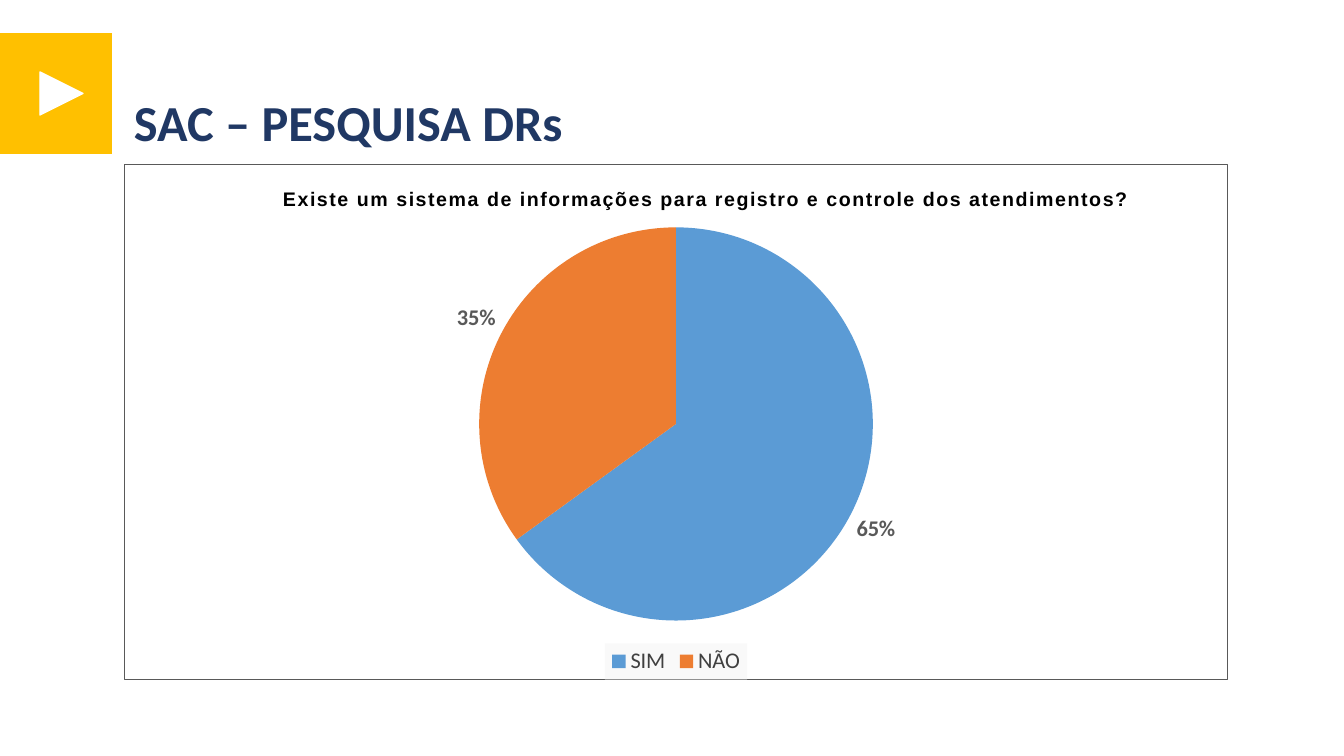
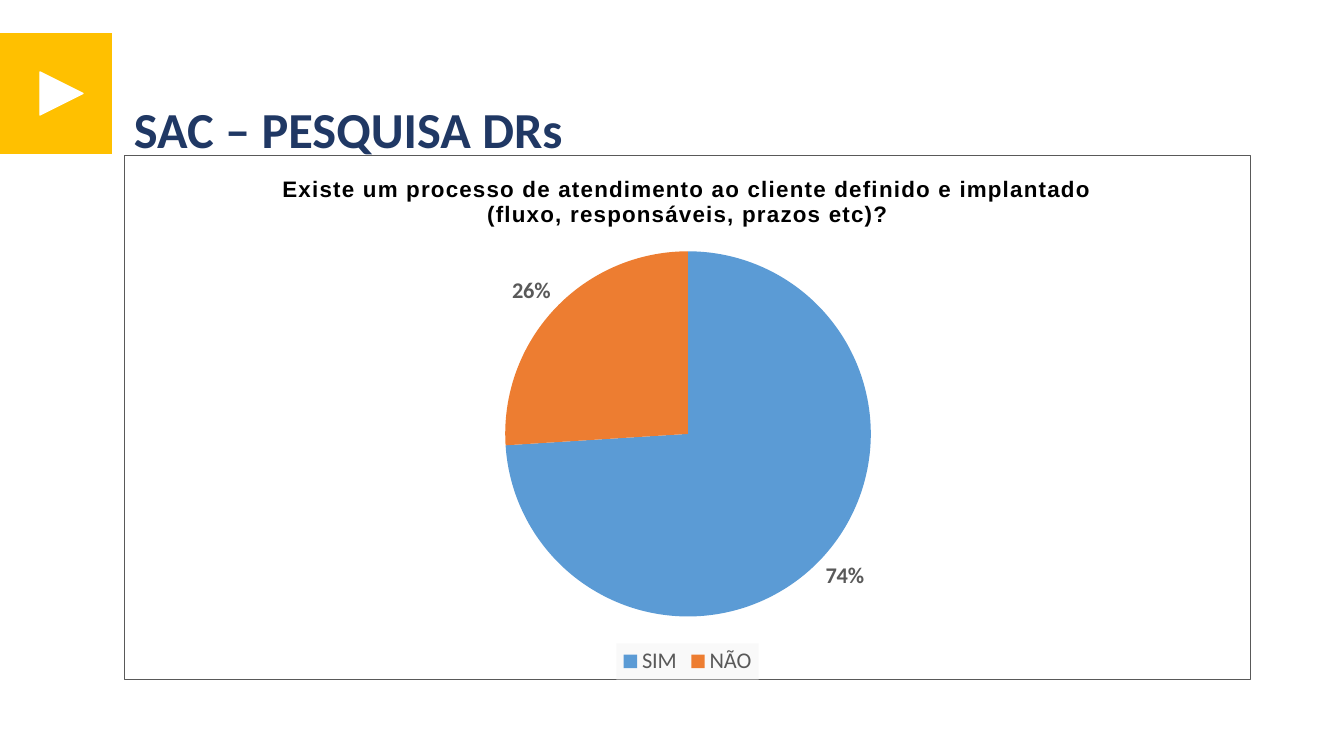
import lxml.etree
import pptx
import pptx.chart.data
import pptx.dml.color
import pptx.enum.chart
import pptx.enum.shapes
import pptx.enum.text
import pptx.oxml.ns
import pptx.util

RGBColor = pptx.dml.color.RGBColor
AMBER = RGBColor(0xFF, 0xC0, 0x00)
WHITE = RGBColor(0xFF, 0xFF, 0xFF)
BLACK = RGBColor(0x00, 0x00, 0x00)
NAVY = RGBColor(0x20, 0x38, 0x64)
GREY = RGBColor(0x59, 0x59, 0x59)
DARK_GREY = RGBColor(0x40, 0x40, 0x40)
PALE_GREY = RGBColor(0xF9, 0xF9, 0xF9)
BLUE = RGBColor(0x5B, 0x9B, 0xD5)
ORANGE = RGBColor(0xED, 0x7D, 0x31)

EMU_PER_PX = 914400 / 100.8
BODY_FACE = "Calibri"
QUESTION_FACE = "Arial"
PAGE_TITLE = "SAC – PESQUISA DRs"
ANSWERS = {"SIM": BLUE, "NÃO": ORANGE}

SURVEYS = [
    {
        "question": "Existe um sistema de informações para registro e controle dos atendimentos?",
        "shares": (65, 35),
        "title_top": 93,
        "frame": (124, 164, 1104, 516),
        "pie": (479, 227, 394),
        "question_size": 14,
        "question_at": (279, 182),
        "legend_color": DARK_GREY,
    },
    {
        "question": "Existe um processo de atendimento ao cliente definido e implantado "
                    "(fluxo, responsáveis, prazos etc)?",
        "shares": (74, 26),
        "title_top": 100,
        "frame": (124, 155, 1127, 525),
        "pie": (505, 251, 366),
        "question_size": 16,
        "question_at": None,
        "legend_color": GREY,
    },
]


def px(*lengths):
    """Turn pixel lengths into EMU."""
    return [pptx.util.Emu(round(length * EMU_PER_PX)) for length in lengths]


def set_font(font, size, color, bold=False, face=BODY_FACE):
    """Set the look of a font."""
    font.size = pptx.util.Pt(size)
    font.name = face
    font.bold = bold
    font.color.rgb = color


def write_text(para, text, *, size, color, bold=True, face=BODY_FACE, line_spacing=None, tracking=0):
    """Add a formatted run of text to a paragraph."""
    if line_spacing:
        para.line_spacing = line_spacing
    span = para.add_run()
    span.text = text
    set_font(span.font, size, color, bold, face)
    if tracking:
        span._r.get_or_add_rPr().set("spc", str(tracking))


def add_block(page, preset, bounds, color, rotation=0, outline=False):
    """Add a plain filled shape."""
    block = page.shapes.add_shape(preset, *px(*bounds))
    block.shadow.inherit = False
    block.rotation = rotation
    block.fill.solid()
    block.fill.fore_color.rgb = color
    if outline:
        block.line.color.rgb = color
        block.line.width = pptx.util.Pt(1)
    else:
        block.line.fill.background()


def add_heading(page, top):
    """Add the corner mark and the page title."""
    presets = pptx.enum.shapes.MSO_SHAPE
    add_block(page, presets.RECTANGLE, (0, 33, 112, 121), AMBER)
    add_block(page, presets.ISOSCELES_TRIANGLE, (40, 72, 43, 43), WHITE, rotation=90, outline=True)
    box = page.shapes.add_textbox(*px(124, top, 948, 54))
    box.text_frame.word_wrap = True
    box.text_frame.vertical_anchor = pptx.enum.text.MSO_ANCHOR.TOP
    write_text(box.text_frame.paragraphs[0], PAGE_TITLE, size=36, color=NAVY, line_spacing=0.9)


def add_child(parent, tag, index=None, **attributes):
    """Add an XML child at an index, or at the end."""
    child = lxml.etree.Element(pptx.oxml.ns.qn(tag), attributes)
    parent.insert(len(parent) if index is None else index, child)
    return child


def place_part(part, index, fractions, target=None):
    """Give a chart part a manual layout in fractions of the chart."""
    layout = part.find(pptx.oxml.ns.qn("c:layout"))
    if layout is None:
        layout = add_child(part, "c:layout", index)
    manual = add_child(layout, "c:manualLayout")
    if target:
        add_child(manual, "c:layoutTarget", val=target)
    for mode in ("xMode", "yMode"):
        add_child(manual, "c:" + mode, val="edge")
    for name, fraction in zip("xywh", fractions):
        add_child(manual, "c:" + name, val=f"{fraction:.4f}")


def paint_part(part, fill, line=None):
    """Fill a chart part and outline it, ahead of its text properties."""
    text_properties = part.find(pptx.oxml.ns.qn("c:txPr"))
    properties = add_child(part, "c:spPr", part.index(text_properties))
    add_child(add_child(properties, "a:solidFill"), "a:srgbClr", val=str(fill))
    if line is not None:
        outline = add_child(properties, "a:ln", w=str(pptx.util.Pt(0.75)))
        add_child(add_child(outline, "a:solidFill"), "a:srgbClr", val=str(line))


def add_question(chart, survey):
    """Write the survey question as the chart title."""
    chart.has_title = True
    write_text(
        chart.chart_title.text_frame.paragraphs[0], survey["question"],
        size=survey["question_size"], color=BLACK, face=QUESTION_FACE, tracking=100,
    )
    if survey["question_at"]:
        left, top, width, height = survey["frame"]
        x, y = survey["question_at"]
        title = chart.element.find(".//" + pptx.oxml.ns.qn("c:title"))
        place_part(title, 1, ((x - left) / width, (y - top) / height))


def add_legend(chart, color):
    """Add the legend under the pie."""
    chart.has_legend = True
    chart.legend.position = pptx.enum.chart.XL_LEGEND_POSITION.BOTTOM
    chart.legend.include_in_layout = False
    set_font(chart.legend.font, 16, color)
    paint_part(chart.element.find(".//" + pptx.oxml.ns.qn("c:legend")), PALE_GREY)


def format_pie(plot):
    """Colour the slices and label them with percentages."""
    plot.vary_by_categories = True
    for index, color in enumerate(ANSWERS.values()):
        fill = plot.series[0].points[index].format.fill
        fill.solid()
        fill.fore_color.rgb = color
    plot.has_data_labels = True
    labels = plot.data_labels
    labels.show_percentage = True
    labels.show_value = False
    labels.number_format = "0%"
    labels.number_format_is_linked = False
    labels.position = pptx.enum.chart.XL_LABEL_POSITION.OUTSIDE_END
    set_font(labels.font, 16, GREY, bold=True)


def add_pie(page, survey):
    """Add the framed pie chart of one survey question."""
    data = pptx.chart.data.CategoryChartData()
    data.categories = list(ANSWERS)
    data.add_series("Series 1", survey["shares"])
    frame = survey["frame"]
    chart = page.shapes.add_chart(pptx.enum.chart.XL_CHART_TYPE.PIE, *px(*frame), data).chart
    set_font(chart.font, 10, BLACK)
    paint_part(chart.element, WHITE, GREY)
    add_question(chart, survey)
    add_legend(chart, survey["legend_color"])
    format_pie(chart.plots[0])
    left, top, width, height = frame
    x, y, diameter = survey["pie"]
    fractions = ((x - left) / width, (y - top) / height, diameter / width, diameter / height)
    plot_area = chart.element.find(".//" + pptx.oxml.ns.qn("c:plotArea"))
    place_part(plot_area, 0, fractions, target="inner")


def main():
    """Build the deck, one page for each survey question."""
    deck = pptx.Presentation()
    deck.slide_width, deck.slide_height = px(1344, 756)
    for survey in SURVEYS:
        page = deck.slides.add_slide(deck.slide_layouts[6])
        add_heading(page, survey["title_top"])
        add_pie(page, survey)
    deck.save("out.pptx")


if __name__ == "__main__":
    main()
